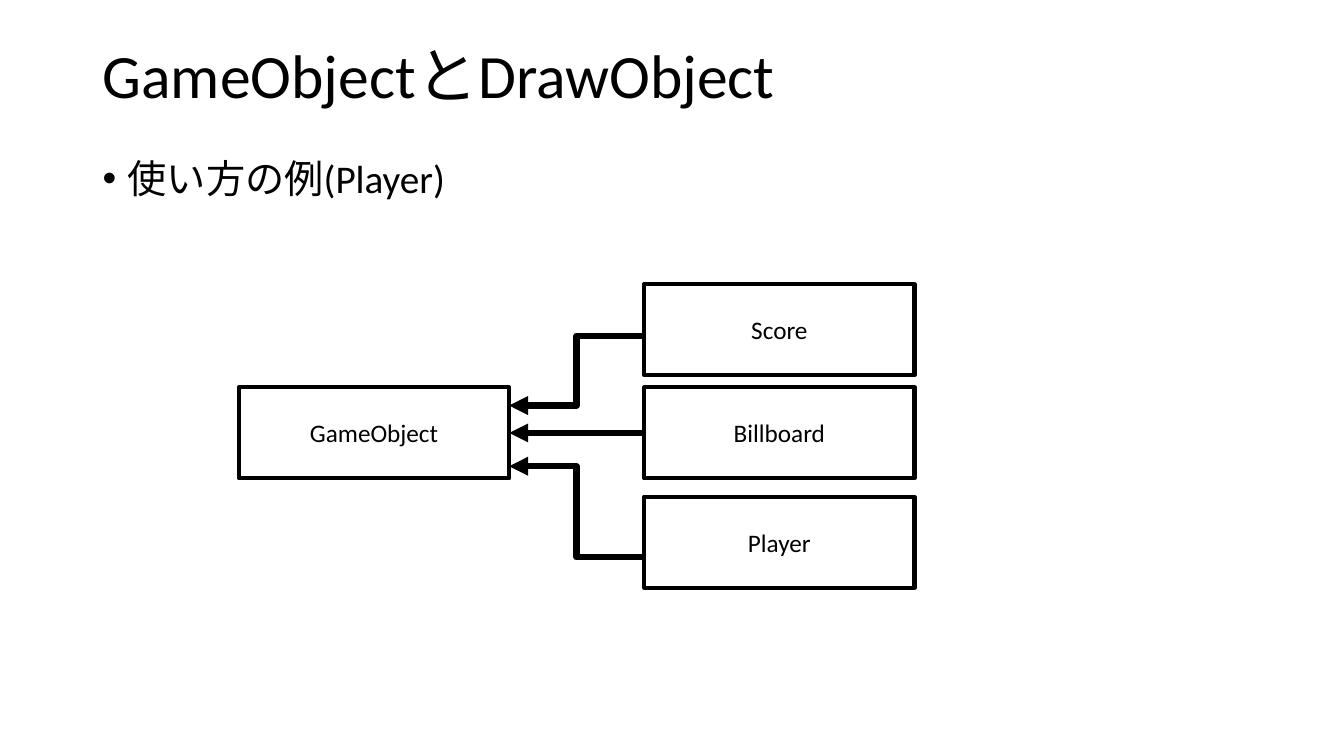
from lxml import etree
from pptx import Presentation
from pptx.dml.color import RGBColor
from pptx.enum.lang import MSO_LANGUAGE_ID
from pptx.enum.shapes import MSO_CONNECTOR, MSO_SHAPE
from pptx.enum.text import MSO_ANCHOR, PP_ALIGN
from pptx.oxml.ns import qn
from pptx.util import Inches, Pt

BLACK = "000000"
FONT = "Calibri"
TITLE_BOX = (0.92, 0.4, 11.5, 1.45)
BULLET_BOX = (0.92, 1.53, 11.5, 1.04)
DIAGRAM_BOX = (2.37, 2.82, 6.7, 3.01)

# Shares of the diagram box
CLASS_W, CLASS_H = 0.4, 0.3
DERIVED_X = 1 - CLASS_W
# Derived class: top of its box, arrow start, arrow end on the base class
DERIVED = {
    "Score": (0, 0.17, 0.4),
    "Billboard": (0.34, 0.49, 0.49),
    "Player": (0.7, 0.9, 0.6),
}


def color(hex_code):
    """Turn a hex string into a colour."""
    return RGBColor.from_string(hex_code)


def write(frame, text, size, anchor=MSO_ANCHOR.TOP):
    """Write one styled paragraph in a text frame and return it."""
    frame.word_wrap = True
    frame.vertical_anchor = anchor
    paragraph = frame.paragraphs[0]
    run = paragraph.add_run()
    run.text = text
    run.font.size, run.font.name = Pt(size), FONT
    run.font.color.rgb = color(BLACK)
    run.font.language_id = MSO_LANGUAGE_ID.JAPANESE
    return paragraph


def add_text(slide, box, text, size):
    """Place a text box with tight lines and return its paragraph."""
    shape = slide.shapes.add_textbox(*map(Inches, box))
    paragraph = write(shape.text_frame, text, size)
    paragraph.line_spacing = 0.9
    return paragraph


def add_bullet(slide, box, text):
    """Place a text box holding one bulleted line."""
    paragraph = add_text(slide, box, text, 28)
    paragraph.space_before = Pt(10)
    props = paragraph._p.get_or_add_pPr()
    props.set("marL", str(Inches(0.25)))
    props.set("indent", str(-Inches(0.25)))
    etree.SubElement(props, qn("a:buFont")).set("typeface", "Arial")
    etree.SubElement(props, qn("a:buChar")).set("char", "•")


def add_class(slide, name, x, y, width, height):
    """Draw one outlined class box with its name."""
    shape = slide.shapes.add_shape(MSO_SHAPE.RECTANGLE, x, y, width, height)
    shape.shadow.inherit = False
    shape.fill.background()
    shape.line.color.rgb = color(BLACK)
    shape.line.width = Pt(3)
    write(shape.text_frame, name, 18, MSO_ANCHOR.MIDDLE).alignment = PP_ALIGN.CENTER


def add_arrow(slide, x1, y1, x2, y2):
    """Draw an inheritance arrow, bent when its ends differ in height."""
    kind = MSO_CONNECTOR.STRAIGHT if y1 == y2 else MSO_CONNECTOR.ELBOW
    arrow = slide.shapes.add_connector(kind, x1, y1, x2, y2)
    arrow.line.color.rgb = color(BLACK)
    arrow.line.width = Pt(4.5)
    etree.SubElement(arrow.line._get_or_add_ln(), qn("a:tailEnd")).set("type", "triangle")
    etree.SubElement(arrow._element.spPr, qn("a:effectLst"))


def add_diagram(slide, box):
    """Draw the base class, its derived classes and their arrows."""
    left, top, width, height = box

    def across(share):
        return Inches(left + share * width)

    def down(share):
        return Inches(top + share * height)

    size = Inches(CLASS_W * width), Inches(CLASS_H * height)
    add_class(slide, "GameObject", across(0), down(DERIVED["Billboard"][0]), *size)
    for name, (row, start, end) in DERIVED.items():
        add_class(slide, name, across(DERIVED_X), down(row), *size)
        add_arrow(slide, across(DERIVED_X), down(start), across(CLASS_W), down(end))


def main():
    """Build and save the slide."""
    deck = Presentation()
    deck.slide_width, deck.slide_height = Inches(13.33), Inches(7.5)
    slide = deck.slides.add_slide(deck.slide_layouts[6])
    add_text(slide, TITLE_BOX, "GameObjectとDrawObject", 44)
    add_bullet(slide, BULLET_BOX, "使い方の例(Player)")
    add_diagram(slide, DIAGRAM_BOX)
    deck.save("out.pptx")


main()
